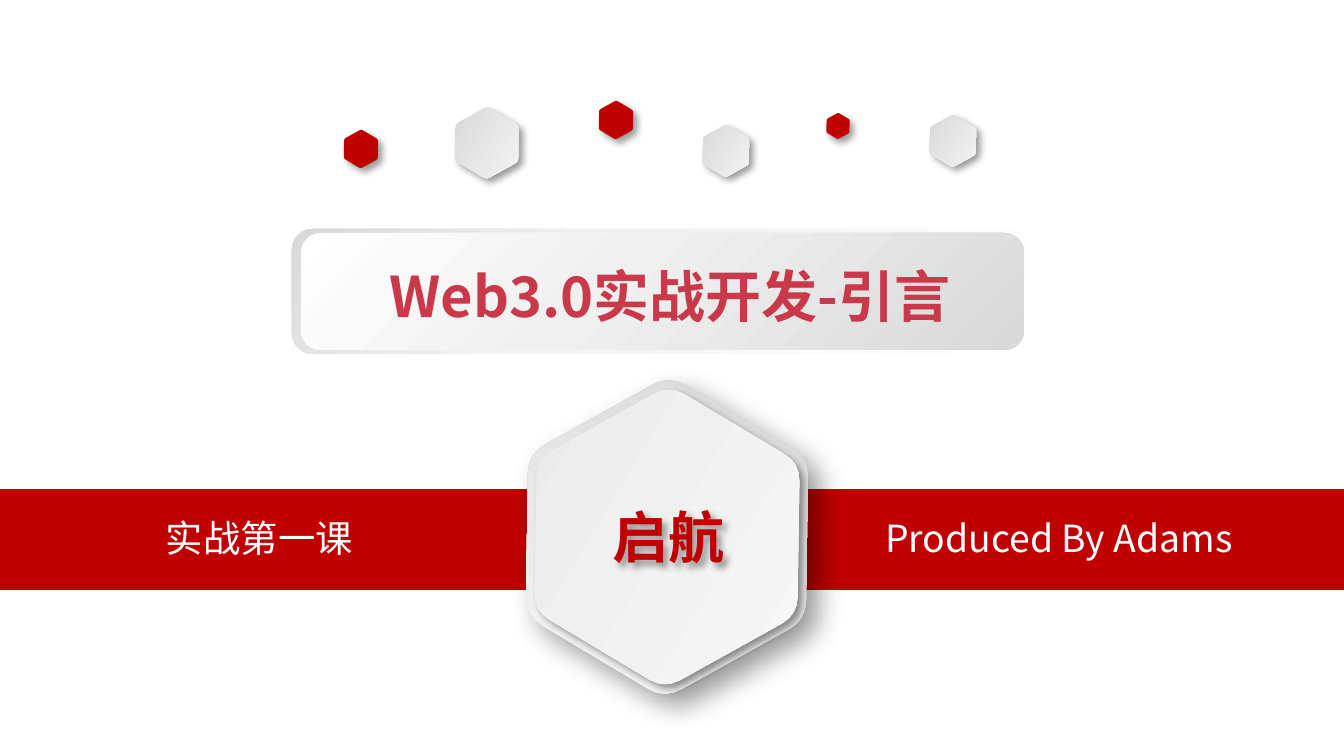
import math
import pptx
import pptx.util
import pptx.dml.color
import pptx.enum.shapes
import pptx.enum.text
import pptx.oxml
import pptx.oxml.ns

PX = 914400 / 134.4
FONT = "Noto Sans CJK SC"
HUES = {"red": "C00000", "rose": "C9394A", "white": "FFFFFF", "black": "000000"}
GRAY = [(0, "D3D3D3"), (100, "F9F9F9")]
PALE = [(0, "E9E9E9"), (100, "F9F9F9")]
RIM = [(0, "FFFFFF"), (62, "F2F2F2"), (100, "D9D9D9")]
FACE = [(0, "FFFFFF"), (42, "F0F0F0"), (100, "D9D9D9")]
NEAR, FAR = (4, 3), (15, 9)
RECT = pptx.enum.shapes.MSO_SHAPE.RECTANGLE
ROUND = pptx.enum.shapes.MSO_SHAPE.ROUNDED_RECTANGLE
ALIGN = pptx.enum.text.PP_ALIGN
ANCHOR = pptx.enum.text.MSO_ANCHOR
FIT = pptx.enum.text.MSO_AUTO_SIZE
NS = pptx.oxml.ns.nsdecls("a")
qn = pptx.oxml.ns.qn


def paint(shape, fill=None, angle=0, shade=None):
    """Fill with a hue, a list of gradient stops or nothing; shade is (blur, distance) in points."""
    shape.line.fill.background()
    shape.shadow.inherit = False
    props = shape._element.spPr
    if fill is None:
        shape.fill.background()
    elif isinstance(fill, str):
        shape.fill.solid()
        shape.fill.fore_color.rgb = pptx.dml.color.RGBColor.from_string(fill)
    else:
        shape.fill.gradient()
        shape.fill.gradient_angle = angle
        stops = "".join(f'<a:gs pos="{pos * 1000}"><a:srgbClr val="{hue}"/></a:gs>'
                        for pos, hue in fill)
        grad = props.find(qn("a:gradFill"))
        grad.replace(grad.find(qn("a:gsLst")),
                     pptx.oxml.parse_xml(f"<a:gsLst {NS}>{stops}</a:gsLst>"))
    if shade:
        blur, dist = (pptx.util.Pt(size) for size in shade)
        props.find(qn("a:effectLst")).append(pptx.oxml.parse_xml(
            f'<a:outerShdw {NS} blurRad="{blur}" dist="{dist}" dir="2700000" algn="tl" '
            f'rotWithShape="0"><a:srgbClr val="{HUES["black"]}"><a:alpha val="40000"/>'
            f'</a:srgbClr></a:outerShdw>'))


def write(shape, text, size, hue, bold=False, align=ALIGN.CENTER, anchor=ANCHOR.TOP, fit=FIT.NONE):
    frame = shape.text_frame
    frame.text = text
    para = frame.paragraphs[0]
    para.alignment = align
    para.space_before = pptx.util.Pt(0)
    para.line_spacing = 1.0
    look = {"word_wrap": True, "vertical_anchor": anchor, "auto_size": fit}
    for name, value in look.items():
        setattr(frame, name, value)
    font = para.runs[0].font
    for name, value in {"name": FONT, "size": pptx.util.Pt(size), "bold": bold}.items():
        setattr(font, name, value)
    font.color.rgb = pptx.dml.color.RGBColor.from_string(hue)
    font._element.append(pptx.oxml.parse_xml(f'<a:ea {NS} typeface="{FONT}"/>'))


deck = pptx.Presentation()
deck.slide_width = round(1344 * PX)
deck.slide_height = round(756 * PX)
slide = deck.slides.add_slide(deck.slide_layouts[5])
shapes = slide.shapes

# Red band with its two captions
band = shapes.add_shape(RECT, 0, round(489 * PX), deck.slide_width, round(101 * PX))
paint(band, HUES["red"])
for left, width, text, align in [
    (23, 473, "实战第一课", ALIGN.CENTER),
    (872, 470, "Produced By Adams", ALIGN.LEFT),
]:
    box = shapes.add_textbox(*(round(n * PX) for n in (left, 509, width, 59)))
    write(box, text, 20, HUES["white"], align=align, fit=FIT.SHAPE_TO_FIT_TEXT)

# Hexagons: centre, height between flat sides, fill, gradient angle, shade
CUT = 0.12
for x, y, high, fill, angle, shade in [
    (487, 143, 63, GRAY, 0, NEAR),
    (616, 120, 34, HUES["red"], 0, NEAR),
    (361, 149, 34, HUES["red"], 0, NEAR),
    (726, 151, 46, GRAY, 0, NEAR),
    (838, 126, 23, HUES["red"], 0, NEAR),
    (953, 141, 46, GRAY, 0, NEAR),
    (667, 537, 280, GRAY, 270, FAR),
    (667, 537, 263, PALE, 0, NEAR),
]:
    side = high / math.sqrt(3)
    tips = [(x + side * math.cos(k * math.pi / 3), y + side * math.sin(k * math.pi / 3))
            for k in range(6)]
    points = []
    for k, tip in enumerate(tips):
        start, end = ([t + CUT * (o - t) for t, o in zip(tip, other)]
                      for other in (tips[k - 1], tips[(k + 1) % 6]))
        for t in (0, 0.25, 0.5, 0.75, 1):
            points.append(tuple(round(PX * ((1 - t) ** 2 * a + 2 * t * (1 - t) * b + t * t * c))
                                for a, b, c in zip(start, tip, end)))
    path = shapes.build_freeform(*points[0])
    path.add_line_segments(points[1:])
    hexa = path.convert_to_shape()
    hexa.rotation = 30.9
    paint(hexa, fill, angle, shade)

# Title plate
for area, fill, angle in [
    ((292, 229, 736, 125), RIM, 135),
    ((301, 233, 723, 117), FACE, 315),
]:
    plate = shapes.add_shape(ROUND, *(round(n * PX) for n in area))
    paint(plate, fill, angle)

title = shapes.title
place = dict(zip(("left", "top", "width", "height"), (302, 255, 736, 81)))
for name, value in place.items():
    setattr(title, name, round(value * PX))
write(title, "Web3.0实战开发-引言", 30, HUES["rose"], True, fit=FIT.SHAPE_TO_FIT_TEXT)
shapes._spTree.append(title._element)

label = shapes.add_shape(ROUND, *(round(n * PX) for n in (536, 503, 265, 67)))
paint(label, shade=NEAR)
write(label, "启航", 30, HUES["red"], True, anchor=ANCHOR.MIDDLE)

deck.save("out.pptx")
